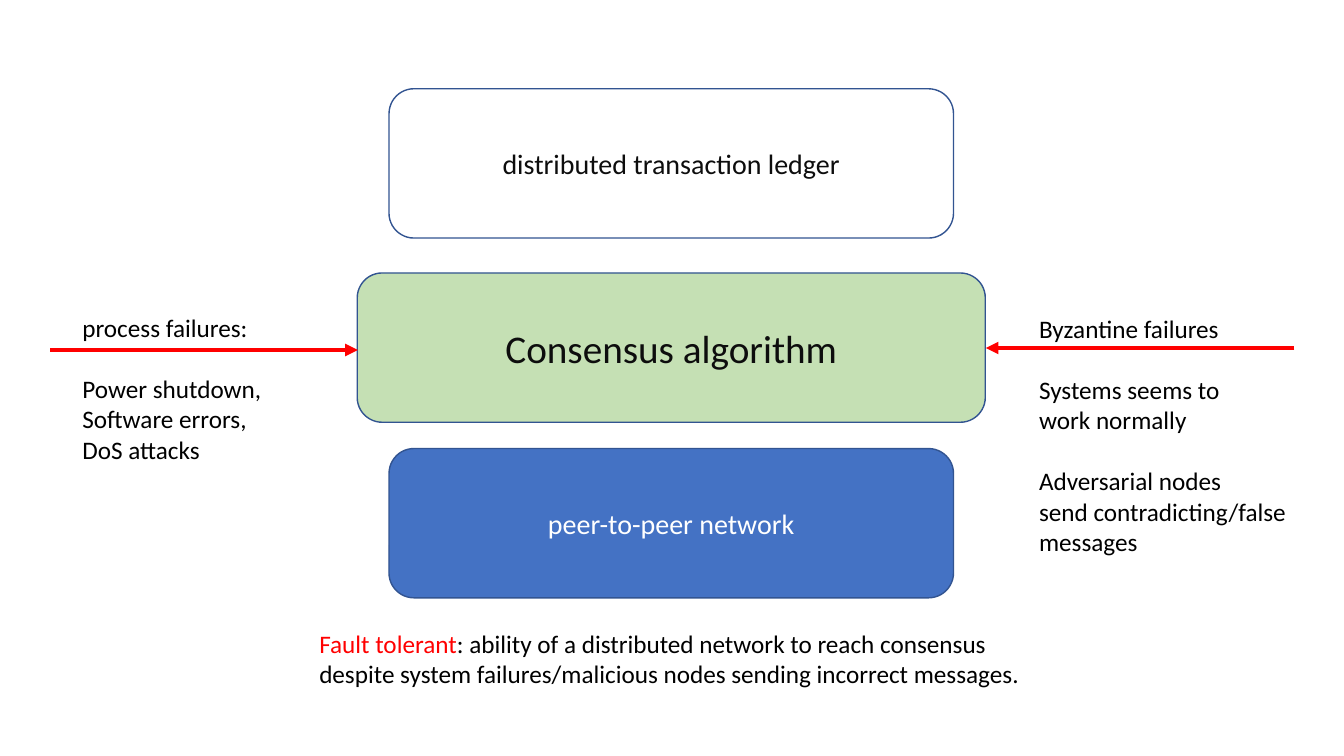
from lxml.etree import SubElement
from pptx import Presentation
from pptx.dml.color import RGBColor
from pptx.enum.shapes import MSO_CONNECTOR as Connector, MSO_SHAPE as Shape
from pptx.enum.text import MSO_ANCHOR as Anchor, PP_ALIGN as Align
from pptx.oxml.ns import qn
from pptx.util import Pt

FONT = "Calibri"
BLACK, RED, OUTLINE = "000000", "FF0000", "325491"
LINE_HEIGHT = 22


def color(value):
    """Return the colour for a hex string."""
    return RGBColor.from_string(value)


def style(font, size, value):
    """Set typeface, size and colour of a font."""
    font.name = FONT
    font.size = Pt(size)
    font.color.rgb = color(value)


def add_layer(slide, text, top, width, size, text_color, fill=None):
    """Add one rounded layer centred on the stack's axis."""
    left = 479.5 - width / 2
    shape = slide.shapes.add_shape(
        Shape.ROUNDED_RECTANGLE, Pt(left), Pt(top), Pt(width), Pt(106.6))
    shape.shadow.inherit = False
    if fill:
        shape.fill.solid()
        shape.fill.fore_color.rgb = color(fill)
    else:
        shape.fill.background()
    shape.line.color.rgb = color(OUTLINE)
    shape.line.width = Pt(1)
    frame = shape.text_frame
    frame.vertical_anchor = Anchor.MIDDLE
    paragraph = frame.paragraphs[0]
    paragraph.text = text
    paragraph.alignment = Align.CENTER
    style(paragraph.font, size, text_color)


def add_note(slide, left, top, width, height, groups):
    """Add a text box whose groups of lines stand one line apart."""
    box = slide.shapes.add_textbox(Pt(left), Pt(top), Pt(width), Pt(height))
    frame = box.text_frame
    frame.word_wrap = True
    paragraph = None
    for group in groups:
        for index, line in enumerate(group):
            first = paragraph is None
            paragraph = frame.paragraphs[0] if first else frame.add_paragraph()
            paragraph.text = line
            style(paragraph.font, 18, BLACK)
            if index == 0 and not first:
                paragraph.space_before = Pt(LINE_HEIGHT)
    return frame


def add_arrow(slide, start, end, y):
    """Add a horizontal red arrow pointing at its end."""
    arrow = slide.shapes.add_connector(
        Connector.STRAIGHT, Pt(start), Pt(y), Pt(end), Pt(y))
    arrow.line.color.rgb = color(RED)
    arrow.line.width = Pt(3)
    SubElement(arrow.line._get_or_add_ln(), qn("a:tailEnd"), type="triangle")
    SubElement(arrow._element.spPr, qn("a:effectLst"))


def main():
    """Build the slide and save it."""
    presentation = Presentation()
    presentation.slide_width, presentation.slide_height = Pt(960), Pt(540)
    slide = presentation.slides.add_slide(presentation.slide_layouts[6])

    add_layer(slide, "distributed transaction ledger", 63.4, 403.2, 20, "0D0D0D")
    add_layer(slide, "Consensus algorithm", 195, 448.6, 28, "0D0D0D", "C5E0B4")
    add_layer(slide, "peer-to-peer network", 320.4, 403.2, 20, "FFFFFF", "4472C4")

    add_arrow(slide, 36, 255.6, 250)
    add_arrow(slide, 924.5, 704.2, 248.6)

    add_note(slide, 51.8, 219.6, 192.2, 117, [
        ["process failures:"],
        ["Power shutdown,", "Software errors,", "DoS attacks"]])
    add_note(slide, 735.1, 220.3, 197.3, 225, [
        ["Byzantine failures"],
        ["Systems seems to", "work normally"],
        ["Adversarial nodes", "send contradicting/false", "messages"]])

    definition = add_note(slide, 221, 445, 537, 51, [
        ["", "despite system failures/malicious nodes sending incorrect messages."]])
    opening = definition.paragraphs[0]
    for text, value in (
            ("Fault tolerant", RED),
            (": ability of a distributed network to reach consensus", BLACK)):
        run = opening.add_run()
        run.text = text
        style(run.font, 18, value)

    presentation.save("out.pptx")


if __name__ == "__main__":
    main()
